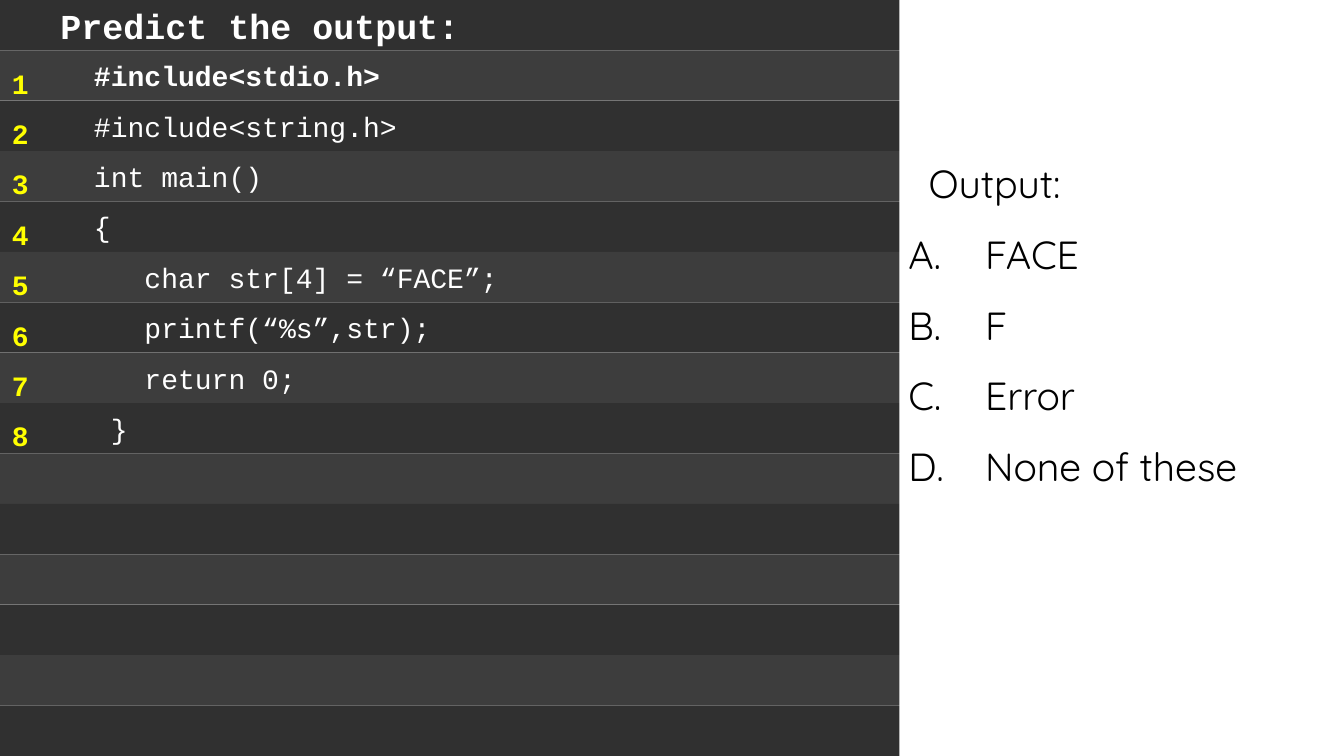
import pptx
import pptx.dml.color
import pptx.enum.shapes
import pptx.enum.text
import pptx.util
import lxml.etree
from pptx.util import Inches

RGBColor = pptx.dml.color.RGBColor
WHITE = RGBColor(0xFF, 0xFF, 0xFF)
BLACK = RGBColor(0, 0, 0)
YELLOW = RGBColor(0xFF, 0xFF, 0)
DARK_BAND = RGBColor(0x30, 0x30, 0x30)
LIGHT_BAND = RGBColor(0x3D, 0x3D, 0x3D)

RECTANGLE = pptx.enum.shapes.MSO_SHAPE.RECTANGLE
LEFT = pptx.enum.text.PP_ALIGN.LEFT
MIDDLE = pptx.enum.text.MSO_ANCHOR.MIDDLE
AUTO_SIZE = pptx.enum.text.MSO_AUTO_SIZE
NAMESPACE = "{http://schemas.openxmlformats.org/drawingml/2006/main}"

WIDTH, HEIGHT, ROW = 13.33, 7.5, 0.5
CODE = [
    "     #include<stdio.h>",
    "     #include<string.h>",
    "     int main()",
    "     {",
    "        char str[4] = “FACE”;",
    "        printf(“%s”,str);",
    "        return 0;",
    "      }",
]
OPTIONS = ["FACE", "F", "Error", "None of these"]


def style(paragraph, size, face, color, bold=False, spacing=1.0):
    paragraph.alignment = LEFT
    paragraph.line_spacing = spacing
    paragraph.space_before = pptx.util.Pt(0)
    font_format = {"size": pptx.util.Pt(size), "name": face, "bold": bold}
    for attribute, value in font_format.items():
        setattr(paragraph.font, attribute, value)
    paragraph.font.color.rgb = color


def add_band(left, top, width, height, color):
    band = slide.shapes.add_shape(
        RECTANGLE, Inches(left), Inches(top), Inches(width), Inches(height))
    band.shadow.inherit = False
    band.fill.solid()
    band.fill.fore_color.rgb = color
    band.line.fill.background()
    return band


deck = pptx.Presentation()
deck.slide_width, deck.slide_height = Inches(WIDTH), Inches(HEIGHT)
slide = deck.slides.add_slide(deck.slide_layouts[1])

# Title in the top band
title = slide.shapes.title
title_place = {"left": 0, "top": 0, "width": WIDTH, "height": ROW}
for side, length in title_place.items():
    setattr(title, side, Inches(length))
title.fill.solid()
title.fill.fore_color.rgb = DARK_BAND
title.text_frame.text = "Predict the output:"
title.text_frame.vertical_anchor = MIDDLE
title.text_frame.auto_size = AUTO_SIZE.NONE
heading = title.text_frame.paragraphs[0]
heading.get_or_add_pPr() if hasattr(heading, "get_or_add_pPr") else None
title.text_frame.margin_left = Inches(0.6)
style(heading, 25, "Courier New", WHITE, bold=True)

# Alternating code bands, the first ones holding the program
for row in range(1, int(HEIGHT / ROW)):
    band = add_band(0, row * ROW, WIDTH, ROW, LIGHT_BAND if row % 2 else DARK_BAND)
    if row <= len(CODE):
        band.text_frame.text = CODE[row - 1]
        band.text_frame.vertical_anchor = MIDDLE
        style(band.text_frame.paragraphs[0], 20, "Courier New", WHITE, bold=row == 1)

# Answer panel
panel = add_band(8.92, 0, WIDTH - 8.92, HEIGHT, WHITE)
answers = slide.placeholders[1]
panel.element.addnext(answers.element)
answers_place = {"left": 8.91, "top": 1.3, "width": 4.08, "height": 3.64}
for side, length in answers_place.items():
    setattr(answers, side, Inches(length))
answers.text_frame.text = "\n".join(["Output:"] + OPTIONS)
answers.text_frame.auto_size = AUTO_SIZE.SHAPE_TO_FIT_TEXT
for index, paragraph in enumerate(answers.text_frame.paragraphs):
    properties = paragraph._p.get_or_add_pPr()
    margin, indent = (0.76, -0.76) if index else (0.2, 0)
    properties.set("marL", str(Inches(margin)))
    properties.set("indent", str(Inches(indent)))
    if index:
        lxml.etree.SubElement(properties, NAMESPACE + "buFont", typeface="Quicksand")
        lxml.etree.SubElement(properties, NAMESPACE + "buAutoNum", type="alphaUcPeriod")
    else:
        lxml.etree.SubElement(properties, NAMESPACE + "buNone")
    style(paragraph, 28, "Quicksand", BLACK, spacing=1.5)

# Line numbers
numbers = slide.shapes.add_textbox(Inches(0.02), Inches(0.44), Inches(0.56), Inches(4.14))
numbers.text_frame.word_wrap = True
numbers.text_frame.auto_size = AUTO_SIZE.SHAPE_TO_FIT_TEXT
numbers.text_frame.text = "\n".join(str(line) for line in range(1, len(CODE) + 1))
for paragraph in numbers.text_frame.paragraphs:
    style(paragraph, 20, "Courier New", YELLOW, bold=True, spacing=1.5)

deck.save("out.pptx")
